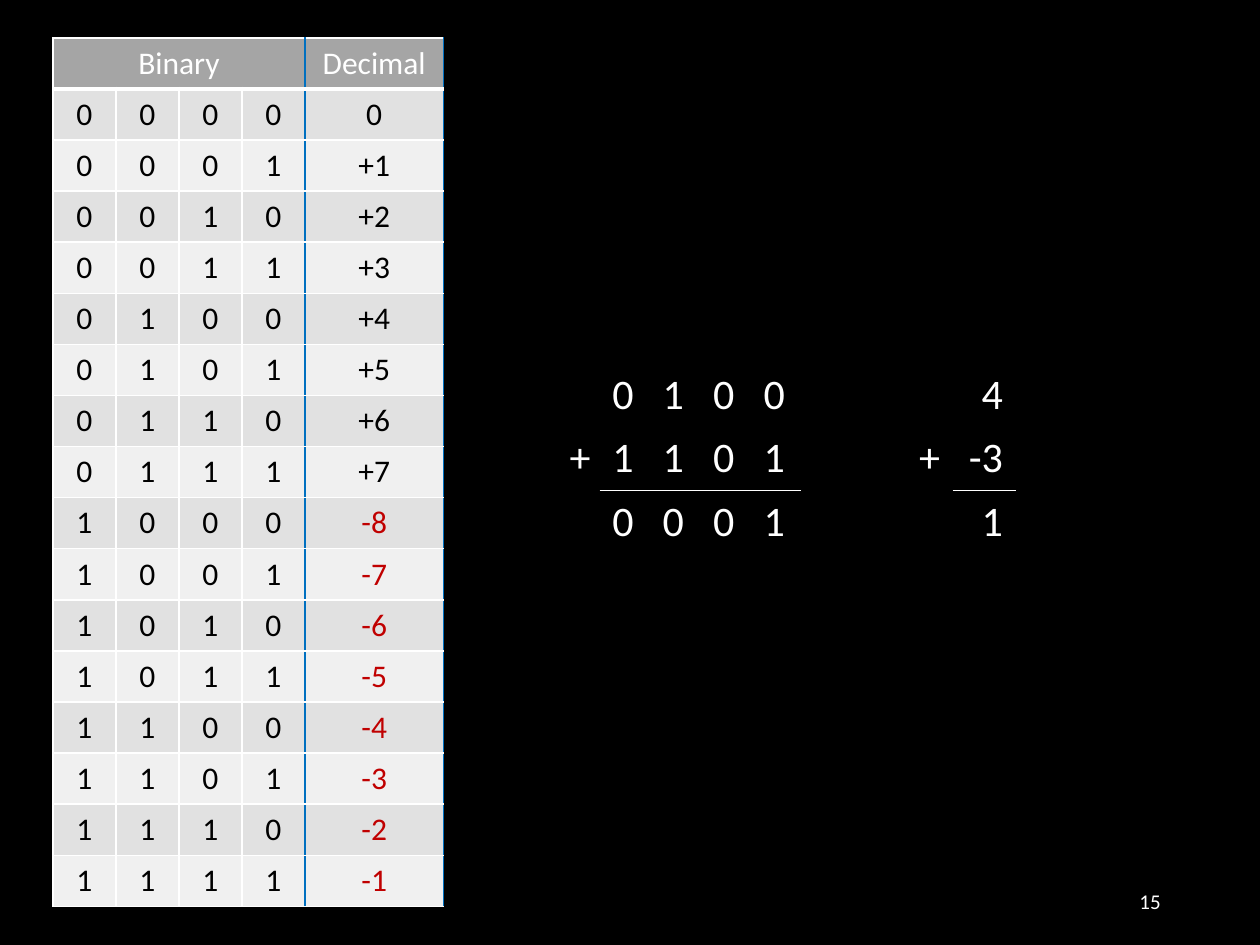
from lxml.etree import SubElement
from pptx import Presentation
from pptx.dml.color import RGBColor
from pptx.enum.text import MSO_ANCHOR as Anchor, PP_ALIGN as Align
from pptx.oxml.ns import qn
from pptx.util import Inches, Pt

WHITE, BLACK, RED, BLUE = "FFFFFF", "000000", "C00000", "0070C0"
HEADER, BANDS = "A5A5A5", ("E1E1E1", "F0F0F0")
PLAIN_STYLE = "{2D5ABB26-0587-4C30-8999-92F81FD0307C}"
BITS = 4
SUM_ROWS = [" 0100 4", "+1101+-3", " 0001 1"]


def color(value):
    """Turn a hex string into a color."""
    return RGBColor.from_string(value)


def write(frame, text, size, ink, align):
    """Put one formatted line of text into a text frame."""
    para = frame.paragraphs[0]
    para.alignment = align
    span = para.add_run()
    span.text = text
    for name, value in {"name": "Calibri", "size": Pt(size), "bold": False}.items():
        setattr(span.font, name, value)
    span.font.color.rgb = color(ink)


def set_borders(cell, borders):
    """Draw cell borders given as side: (color, width), in L, R, T, B order."""
    properties = cell._tc.get_or_add_tcPr()
    for side, (ink, width) in borders.items():
        line = SubElement(properties, qn(f"a:ln{side}"), w=str(Pt(width)))
        fill = SubElement(line, qn("a:solidFill"))
        SubElement(fill, qn("a:srgbClr"), val=ink)


def add_plain_table(page, rows, widths, left, top, height):
    """Add an unstyled table with the given column widths."""
    frame = page.shapes.add_table(rows, len(widths), Inches(left), Inches(top),
                                  Inches(sum(widths)), Inches(height))
    table = frame.table
    table.first_row = table.horz_banding = False
    table._tbl.tblPr.find(qn("a:tableStyleId")).text = PLAIN_STYLE
    for column, width in zip(table.columns, widths):
        column.width = Inches(width)
    return table


def style_number_cell(cell, column, fill, bottom):
    """Fill a cell of the number table and draw its borders."""
    set_borders(cell, {
        "L": (BLUE if column == BITS else WHITE, 1),
        "R": (BLUE if column >= BITS - 1 else WHITE, 1),
        "T": (WHITE, 1),
        "B": (WHITE, bottom),
    })
    cell.fill.solid()
    cell.fill.fore_color.rgb = color(fill)


def add_number_table(page):
    """Add the table of four-bit two's complement numbers."""
    count = 2 ** BITS
    table = add_plain_table(page, count + 1, [0.5] * BITS + [1.1], 0.42, 0.3, 6.89)
    table.cell(0, 0).merge(table.cell(0, BITS - 1))
    for column in range(BITS + 1):
        style_number_cell(table.cell(0, column), column, HEADER, 3)
    set_borders_right = table.cell(0, 0)._tc.tcPr.find(qn("a:lnR"))
    set_borders_right.find(f".//{qn('a:srgbClr')}").set("val", BLUE)
    for column, title in ((0, "Binary"), (BITS, "Decimal")):
        write(table.cell(0, column).text_frame, title, 18, WHITE, Align.CENTER)

    for number in range(count):
        signed = number if number < count // 2 else number - count
        texts = [*f"{number:0{BITS}b}", f"{signed:+d}" if signed else "0"]
        for column, text in enumerate(texts):
            cell = table.cell(number + 1, column)
            style_number_cell(cell, column, BANDS[number % 2], 1)
            ink = RED if column == BITS and signed < 0 else BLACK
            write(cell.text_frame, text, 18, ink, Align.CENTER)


def add_sum_table(page):
    """Add the worked addition in binary and in decimal."""
    widths = [0.34] + [0.4] * BITS + [1.2, 0.5]
    table = add_plain_table(page, len(SUM_ROWS), widths, 4.42, 2.88, 1.52)
    last = len(widths) - 1
    for row, line in enumerate(SUM_ROWS):
        for column, text in enumerate([*line[:last], line[last:]]):
            cell = table.cell(row, column)
            if row and column not in (0, last - 1):
                set_borders(cell, {"B" if row == 1 else "T": (WHITE, 1)})
            cell.fill.background()
            if text.strip():
                align = Align.RIGHT if column > BITS else Align.LEFT
                write(cell.text_frame, text, 24, WHITE, align)


def add_page_number(page, text):
    """Add the page number at the lower right."""
    box = page.shapes.add_textbox(*map(Inches, (7.06, 6.95, 2.25, 0.4)))
    frame = box.text_frame
    for name, value in {"word_wrap": True, "vertical_anchor": Anchor.MIDDLE}.items():
        setattr(frame, name, value)
    write(frame, text, 12, WHITE, Align.RIGHT)


def main():
    """Build the deck and save it."""
    deck = Presentation()
    deck.slide_width, deck.slide_height = Inches(10), Inches(7.5)
    page = deck.slides.add_slide(deck.slide_layouts[6])
    page.background.fill.solid()
    page.background.fill.fore_color.rgb = color(BLACK)
    add_number_table(page)
    add_sum_table(page)
    add_page_number(page, "15")
    deck.save("out.pptx")


if __name__ == "__main__":
    main()
